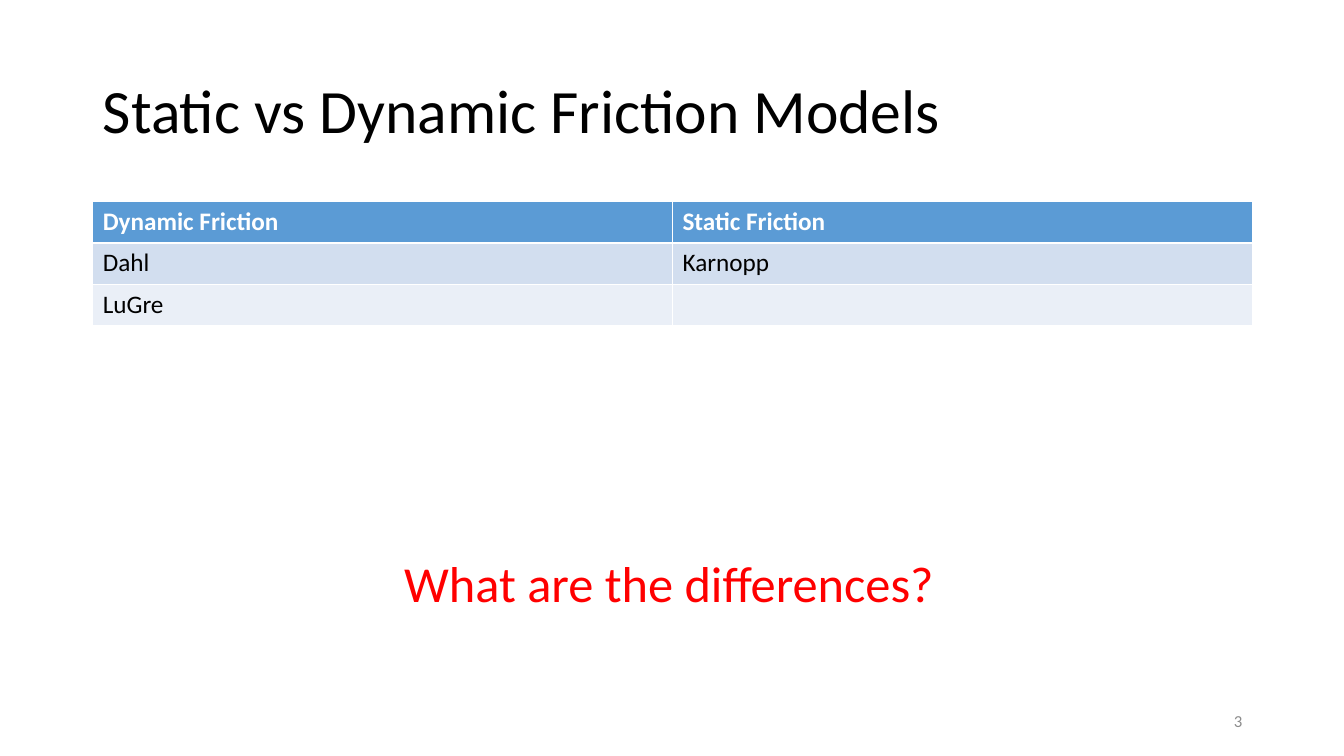
"""Build a slide that sets dynamic friction models beside static ones."""
from pptx import Presentation
from pptx.dml.color import RGBColor
from pptx.enum.text import MSO_ANCHOR, PP_ALIGN
from pptx.util import Inches, Pt

BLACK = RGBColor(0x00, 0x00, 0x00)
WHITE = RGBColor(0xFF, 0xFF, 0xFF)
RED = RGBColor(0xFF, 0x00, 0x00)
GREY = RGBColor(0x8C, 0x8C, 0x8C)
BLUE = RGBColor(0x5B, 0x9B, 0xD5)
PALE = RGBColor(0xD2, 0xDE, 0xEF)
FAINT = RGBColor(0xEA, 0xEF, 0xF7)
LEFT, RIGHT = PP_ALIGN.LEFT, PP_ALIGN.RIGHT
MIDDLE = MSO_ANCHOR.MIDDLE


def style(para, size, color, bold=False, align=LEFT):
    para.alignment = align
    font = para.font
    font.name, font.size, font.bold = "Calibri", Pt(size), bold
    font.color.rgb = color


def place(shape, left, top, width, height):
    shape.left, shape.top = Inches(left), Inches(top)
    shape.width, shape.height = Inches(width), Inches(height)


deck = Presentation()
deck.slide_width, deck.slide_height = Inches(13.33), Inches(7.5)
slide = deck.slides.add_slide(deck.slide_layouts[5])
shapes = slide.shapes
EDGE, SPAN, ROW = 0.92, 11.5, 0.41

title = shapes.title
place(title, EDGE, 0.4, SPAN, 1.45)
title.text_frame.text = "Static vs Dynamic Friction Models"
title.text_frame.vertical_anchor = MIDDLE
head = title.text_frame.paragraphs[0]
head.line_spacing = 0.9
style(head, 44, BLACK)

rows = [
    (BLUE, WHITE, True, ("Dynamic Friction", "Static Friction")),
    (PALE, BLACK, False, ("Dahl", "Karnopp")),
    (FAINT, BLACK, False, ("LuGre", "")),
]
table = shapes.add_table(
    len(rows), 2, Inches(EDGE), Inches(2), Inches(SPAN), Inches(ROW * len(rows))
).table
for r, (fill, ink, bold, words) in enumerate(rows):
    table.rows[r].height = Inches(ROW)
    for c, word in enumerate(words):
        cell = table.cell(r, c)
        cell.fill.solid()
        cell.fill.fore_color.rgb = fill
        cell.text = word
        style(cell.text_frame.paragraphs[0], 18, ink, bold)

ask = shapes.add_textbox(0, 0, 0, 0)
place(ask, 3.91, 5.43, 5.51, 0.71)
ask.text_frame.word_wrap = False
ask.text_frame.text = "What are the differences?"
style(ask.text_frame.paragraphs[0], 36, RED)

page = shapes.add_textbox(0, 0, 0, 0)
place(page, EDGE + SPAN - 3, 6.95, 3, 0.4)
page.text_frame.word_wrap = True
page.text_frame.vertical_anchor = MIDDLE
page.text_frame.text = "3"
style(page.text_frame.paragraphs[0], 12, GREY, align=RIGHT)

deck.save("out.pptx")
